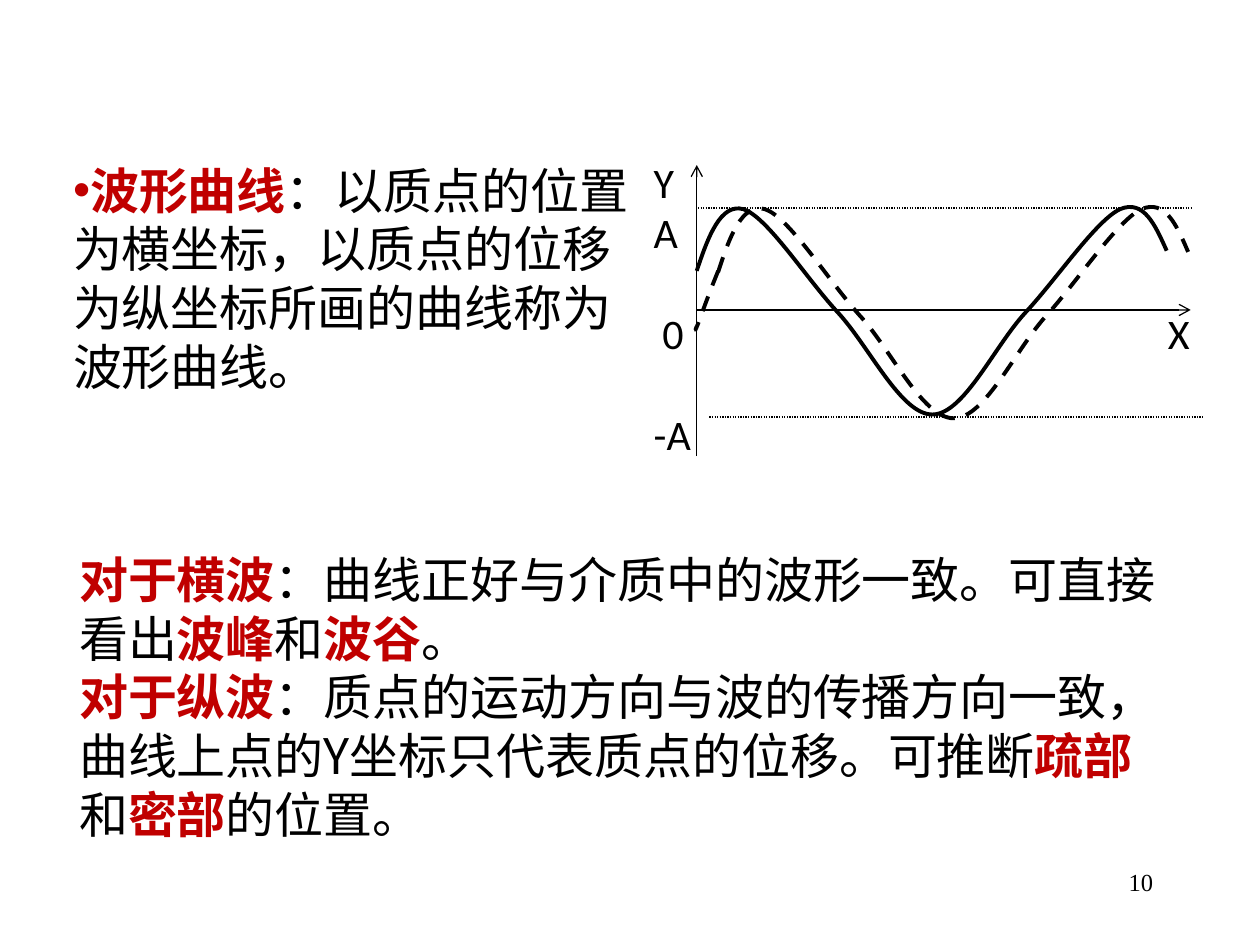
"""Builds the slide that explains the waveform curve."""
from dataclasses import dataclass

from lxml.etree import SubElement
from pptx import Presentation
from pptx.dml.color import RGBColor
from pptx.enum.dml import MSO_LINE
from pptx.enum.text import MSO_AUTO_SIZE, PP_ALIGN
from pptx.oxml.ns import qn
from pptx.util import Emu, Pt

EMU_PER_PX = 9144


def px(length):
    return Emu(length * EMU_PER_PX)


@dataclass(frozen=True)
class Theme:
    ink: RGBColor = RGBColor(0, 0, 0)
    accent: RGBColor = RGBColor(0xC0, 0, 0)
    text_font: str = "Noto Sans CJK SC"
    label_font: str = "Calibri"
    number_font: str = "Times New Roman"
    text_size: int = 28
    label_size: int = 24
    number_size: int = 14
    thin: float = 0.75
    thick: float = 2.25


class SlideWriter:
    def __init__(self, page, theme):
        self.page = page
        self.theme = theme

    def set_paragraph(self, para, font, size, indent=0, before=0, bullet=None):
        para.space_before = Pt(before)
        properties = para._p.get_or_add_pPr()
        properties.set("marL", "0")
        properties.set("indent", str(px(indent)))
        if bullet:
            SubElement(properties, qn("a:buChar"), char=bullet)
        para.font.name = font
        para.font.size = Pt(size)
        SubElement(properties.get_or_add_defRPr(), qn("a:ea"), typeface=font)

    def marked_text(self, frame, texts, bullet=None):
        """Fills a frame, with the words between asterisks emphasised."""
        for index, text in enumerate(texts):
            para = frame.add_paragraph() if index else frame.paragraphs[0]
            self.set_paragraph(para, self.theme.text_font, self.theme.text_size, bullet=bullet)
            for position, part in enumerate(text.split("*")):
                if part:
                    key = position % 2 == 1
                    span = para.add_run()
                    span.text = part
                    span.font.bold = key
                    span.font.color.rgb = self.theme.accent if key else self.theme.ink

    def body(self, left, top, width, height, inset, texts):
        box = self.page.placeholders[1]
        box.left, box.top, box.width, box.height = map(px, (left, top, width, height))
        box.text_frame.auto_size = MSO_AUTO_SIZE.NONE
        box.text_frame.margin_top = px(inset)
        self.marked_text(box.text_frame, texts, bullet="•")

    def text_box(self, left, top, width, height):
        box = self.page.shapes.add_textbox(*map(px, (left, top, width, height)))
        box.text_frame.word_wrap = True
        return box.text_frame

    def plain_text(self, frame, rows, font, size, align=PP_ALIGN.LEFT):
        for index, (text, layout) in enumerate(rows):
            para = frame.add_paragraph() if index else frame.paragraphs[0]
            para.text = text
            para.alignment = align
            self.set_paragraph(para, font, size, **layout)
            para.font.color.rgb = self.theme.ink

    def stroke(self, shape, width, dash=None):
        shape.line.color.rgb = self.theme.ink
        shape.line.width = Pt(width)
        if dash:
            shape.line.dash_style = dash

    def straight(self, start, end, dash=None, arrow=False):
        line = self.page.shapes.add_connector(1, *map(px, (*start, *end)))
        self.stroke(line, self.theme.thin, dash)
        if arrow:
            SubElement(line.line._get_or_add_ln(), qn("a:tailEnd"), type="arrow")
        SubElement(line._element.spPr, qn("a:effectLst"))

    def curve(self, points, dash=None):
        """Draws joined cubic curves, each with two control points and an end."""
        builder = self.page.shapes.build_freeform(*points[0], scale=EMU_PER_PX)
        builder.add_line_segments(points[1:], close=False)
        shape = builder.convert_to_shape()
        sides = list(shape._element.iter(qn("a:lnTo")))
        outline = sides[0].getparent()
        for first in range(0, len(sides), 3):
            cubic = SubElement(outline, qn("a:cubicBezTo"))
            for side in sides[first:first + 3]:
                cubic.append(side[0])
                outline.remove(side)
        shape.shadow.inherit = False
        shape.fill.background()
        self.stroke(shape, self.theme.thick, dash)


WAVE = [(553, 215), (562, 188), (572, 161), (590, 166), (609, 172), (640, 221), (665, 248),
        (690, 275), (715, 329), (740, 329), (765, 329), (789, 275), (814, 248),
        (839, 221), (870, 175), (889, 166), (908, 158), (917, 179), (926, 199)]
CREST = 166
LATER_WAVE = [(x + 17, round(CREST + (y - CREST) * 1.02)) for x, y in WAVE]
LATER_START = [(570, 215), (563, 232), (557, 249), (554, 257), (551, 264), (552, 262), (553, 259)]
DEFINITION = ["*波形曲线*：以质点的位置为横坐标，以质点的位移为纵坐标所画的曲线称为波形曲线。"]
EXPLANATION = [
    "*对于横波*：曲线正好与介质中的波形一致。可直接看出*波峰*和*波谷*。",
    "*对于纵波*：质点的运动方向与波的传播方向一致，曲线上点的Y坐标只代表质点的位移。"
    "可推断*疏部*和*密部*的位置。",
]
AXIS_LABELS = [
    ("Y", {"indent": 31}),
    ("A", {"indent": 31}),
    ("0", {"indent": 38, "before": 29}),
    ("-A", {"indent": 31, "before": 29}),
]


def main():
    deck = Presentation()
    deck.slide_width, deck.slide_height = px(1000), px(750)
    page = deck.slides.add_slide(deck.slide_layouts[1])
    title = page.shapes.title._element
    title.getparent().remove(title)
    theme = Theme()
    writer = SlideWriter(page, theme)

    writer.body(48, 68, 472, 589, 59, DEFINITION)
    for left, level in ((554, 165), (563, 331)):
        writer.straight((left, level), (left + 392, level), dash=MSO_LINE.ROUND_DOT)
    labels = writer.text_box(478, 119, 477, 284)
    writer.plain_text(labels, AXIS_LABELS, theme.label_font, theme.label_size)
    across = writer.text_box(917, 239, 50, 50)
    writer.plain_text(across, [("X", {})], theme.label_font, theme.label_size)
    writer.straight((553, 362), (553, 131), arrow=True)
    writer.straight((553, 246), (945, 246), arrow=True)
    writer.curve(WAVE)
    writer.curve(LATER_WAVE, dash=MSO_LINE.DASH)
    writer.curve(LATER_START, dash=MSO_LINE.DASH)

    number = writer.text_box(717, 683, 208, 50)
    writer.plain_text(number, [("10", {})], theme.number_font, theme.number_size, PP_ALIGN.RIGHT)
    writer.marked_text(writer.text_box(53, 431, 890, 246), EXPLANATION)
    deck.save("out.pptx")


if __name__ == "__main__":
    main()
